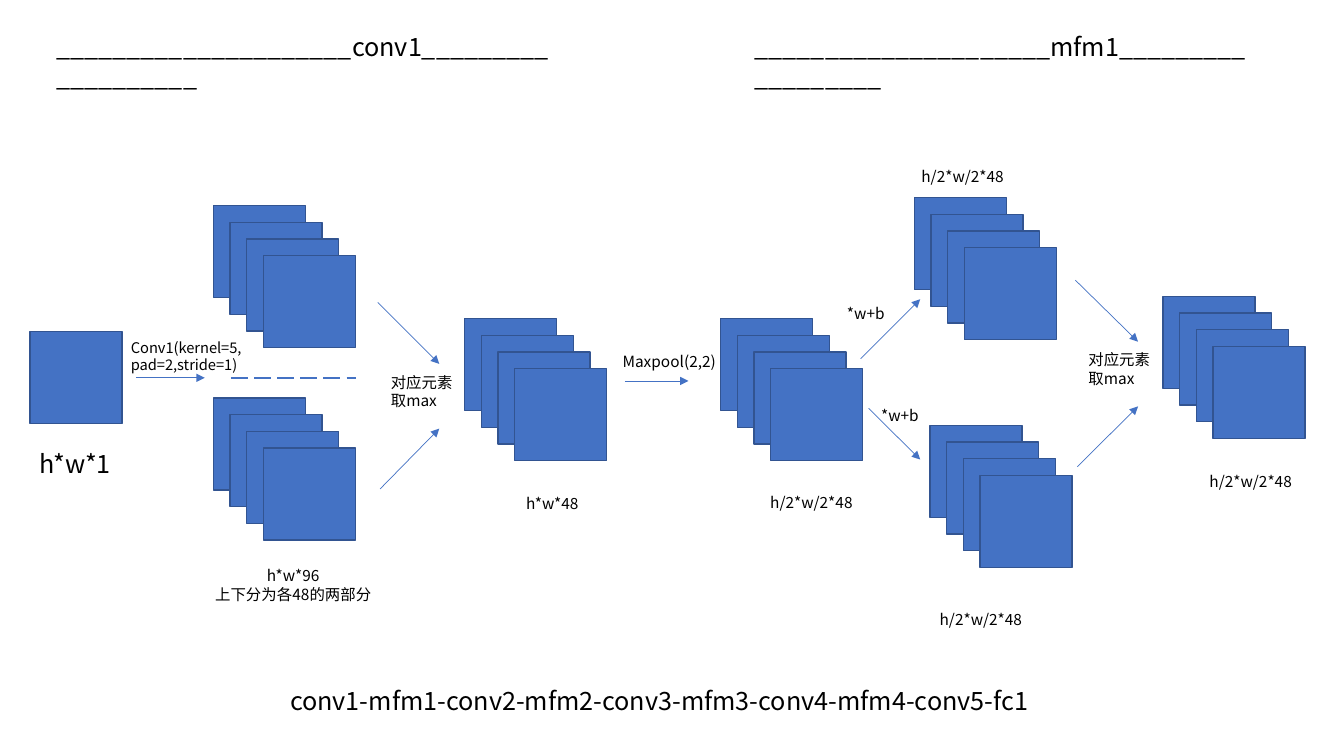
from dataclasses import dataclass

from lxml import etree
from pptx import Presentation
from pptx.dml.color import RGBColor
from pptx.enum.dml import MSO_LINE
from pptx.enum.shapes import MSO_CONNECTOR, MSO_SHAPE
from pptx.enum.text import MSO_AUTO_SIZE, PP_ALIGN
from pptx.oxml.ns import qn
from pptx.util import Cm, Pt

RECTANGLE = MSO_SHAPE.RECTANGLE
STRAIGHT = MSO_CONNECTOR.STRAIGHT
LONG_DASH = MSO_LINE.LONG_DASH
FIT_SHAPE = MSO_AUTO_SIZE.SHAPE_TO_FIT_TEXT
LEFT, CENTER = PP_ALIGN.LEFT, PP_ALIGN.CENTER


@dataclass(frozen=True)
class Theme:
    font: str = "Noto Sans CJK SC"
    blue: RGBColor = RGBColor(0x44, 0x72, 0xC4)
    outline: RGBColor = RGBColor(0x32, 0x54, 0x91)
    text: RGBColor = RGBColor(0, 0, 0)
    heading: float = 18
    label: float = 11
    small: float = 10.5


theme = Theme()
presentation = Presentation()
presentation.slide_width, presentation.slide_height = Cm(33.87), Cm(19.05)
slide = presentation.slides.add_slide(presentation.slide_layouts[6])


def add_label(text, left, top, width, size=theme.label, alignment=LEFT):
    text_box = slide.shapes.add_textbox(Cm(left), Cm(top), Cm(width), Cm(0.74))
    frame = text_box.text_frame
    frame.word_wrap = True
    frame.auto_size = FIT_SHAPE
    frame.text = text
    for paragraph in frame.paragraphs:
        paragraph.alignment = alignment
        paragraph.font.size = Pt(size)
        paragraph.font.color.rgb = theme.text
        paragraph.font.name = theme.font
        # East Asian characters need their own typeface entry
        properties = paragraph._p.pPr.find(qn("a:defRPr"))
        etree.SubElement(properties, qn("a:ea"), typeface=theme.font)


def add_line(start_x, start_y, end_x, end_y, width):
    line = slide.shapes.add_connector(
        STRAIGHT, Cm(start_x), Cm(start_y), Cm(end_x), Cm(end_y))
    line.line.color.rgb = theme.blue
    line.line.width = Pt(width)
    etree.SubElement(line._element.spPr, qn("a:effectLst"))
    return line


# Feature maps: left, top, number of stacked squares
MAP_SIZE, MAP_STEP = 2.32, 0.42
feature_maps = [
    (0.76, 8.36, 1),
    (5.38, 5.18, 4),
    (5.38, 10.03, 4),
    (11.71, 8.03, 4),
    (18.16, 8.03, 4),
    (23.04, 4.98, 4),
    (23.44, 10.72, 4),
    (29.31, 7.47, 4),
]
for left, top, count in feature_maps:
    for index in range(count):
        offset = index * MAP_STEP
        square = slide.shapes.add_shape(
            RECTANGLE, Cm(left + offset), Cm(top + offset), Cm(MAP_SIZE), Cm(MAP_SIZE))
        square.shadow.inherit = False
        square.fill.solid()
        square.fill.fore_color.rgb = theme.blue
        square.line.color.rgb = theme.outline
        square.line.width = Pt(1)

# Arrows between the stages
arrows = [
    (3.43, 9.52, 5.16, 9.52),
    (9.52, 7.62, 11.07, 9.17),
    (9.58, 12.32, 11.07, 10.8),
    (15.75, 9.6, 17.35, 9.6),
    (21.69, 9.04, 23.19, 7.54),
    (21.89, 10.29, 23.19, 11.58),
    (27.1, 7.06, 28.68, 8.61),
    (27.15, 11.76, 28.68, 10.24),
]
for ends in arrows:
    arrow = add_line(*ends, width=0.5)
    etree.SubElement(arrow.line._get_or_add_ln(), qn("a:tailEnd"), type="triangle")

# Divider between the two halves of the convolution output
divider = add_line(5.82, 9.52, 8.97, 9.52, width=1.5)
divider.line.dash_style = LONG_DASH

# Headings and the full layer sequence
add_label("_" * 21 + "conv1" + "_" * 19, 1.17, 0.66, 13.08, theme.heading)
add_label("_" * 21 + "mfm1" + "_" * 18, 18.77, 0.66, 13.08, theme.heading)
add_label("conv1-mfm1-conv2-mfm2-conv3-mfm3-conv4-mfm4-conv5-fc1",
          7.06, 17.15, 20.55, theme.heading)

# Operations
add_label("Conv1(kernel=5, pad=2,stride=1)", 3.05, 8.41, 4.24, theme.small)
add_label("Maxpool(2,2)", 15.44, 8.74, 3.18)
for left, top in [(9.6, 9.27), (27.18, 8.71)]:
    add_label("对应元素取max", left, top, 2.34)

# Sizes and weights, centred on their stacks or arrows
add_label("h*w*1", 0.74, 11.18, 2.34, theme.heading)
centred_labels = [
    ("h*w*96\n上下分为各48的两部分", 4.95, 14.15),
    ("h*w*48", 11.48, 12.32),
    ("h/2*w/2*48", 18.01, 12.29),
    ("h/2*w/2*48", 21.82, 4.09),
    ("h/2*w/2*48", 22.28, 15.24),
    ("h/2*w/2*48", 29.08, 11.76),
    ("*w+b", 19.38, 7.54),
    ("*w+b", 20.24, 10.11),
]
for text, left, top in centred_labels:
    add_label(text, left, top, 4.88, alignment=CENTER)

presentation.save("out.pptx")
